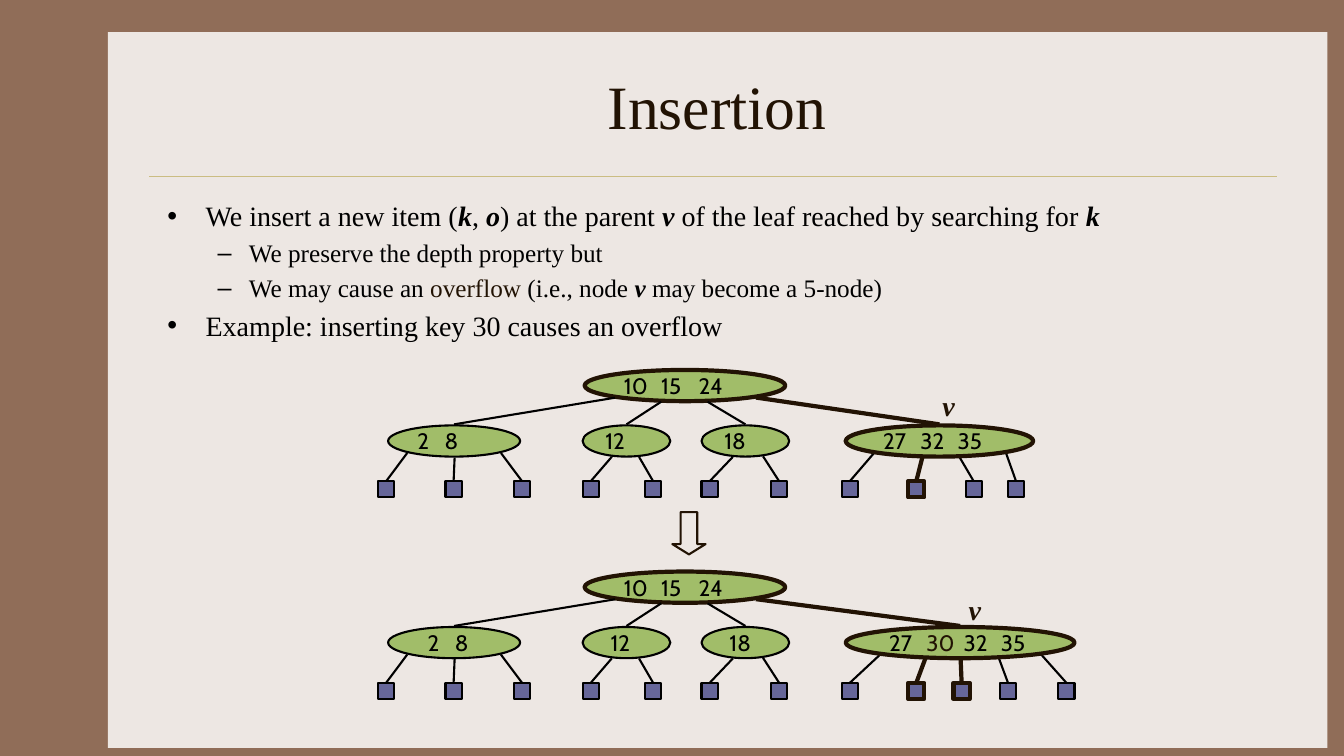
from dataclasses import dataclass
from math import sqrt

from lxml.etree import SubElement
from pptx import Presentation
from pptx.dml.color import RGBColor as RGB
from pptx.enum.shapes import MSO_CONNECTOR as Conn, MSO_SHAPE as Shape
from pptx.enum.text import MSO_ANCHOR as Anchor, MSO_AUTO_SIZE as Auto, PP_ALIGN as Align
from pptx.oxml.ns import qn
from pptx.util import Inches, Pt


@dataclass(frozen=True)
class Theme:
    frame: str = "906D58"
    panel: str = "EDE7E3"
    rule: str = "CBBD83"
    accent: str = "221304"
    ink: str = "000000"
    node: str = "A1BD69"
    leaf: str = "666699"
    serif: str = "Times New Roman"
    sans: str = "Cabin"
    title: int = 44
    body: tuple = (20, 18)
    key: int = 16
    label: int = 20
    thin: float = 1.5
    thick: float = 3


@dataclass(frozen=True)
class Leaf:
    left: float
    joint: float  # column where its edge meets the parent
    marked: bool = False


@dataclass(frozen=True)
class Node:
    left: float
    width: float
    keys: tuple
    root_joint: float = 0
    leaves: tuple = ()
    marked: bool = False
    new_key: str = ""
    pad: float = 0

    @property
    def centre(self) -> float:
        return self.left + self.width / 2

    def bottom_at(self, x: float) -> float:
        """Rows from the top of the ellipse down to its lower edge at column x."""
        share = (x - self.centre) / (self.width / 2)
        return NODE_H / 2 * (1 + sqrt(1 - share ** 2)) + 0.1


T = Theme()

# Grid of 133.3 columns by 75 rows, each a tenth of an inch
NODE_H, LEAF_SIZE = 3.1, 1.6
CHILD_ROW, LEAF_ROW = 5.5, 11.05


def cells(n: float) -> int:
    return Inches(n / 10)


def box(x: float, y: float, w: float, h: float) -> tuple:
    return tuple(map(cells, (x, y, w, h)))


def set_font(font, color: str, **values) -> None:
    for name, value in values.items():
        setattr(font, name, value)
    font.color.rgb = RGB.from_string(color)


def shape(s, kind, area: tuple, fill: str = "", line: str = "", width: float = T.thin):
    sp = s.shapes.add_shape(kind, *box(*area))
    sp.shadow.inherit = False
    if fill:
        sp.fill.solid()
        sp.fill.fore_color.rgb = RGB.from_string(fill)
    else:
        sp.fill.background()
    if line:
        sp.line.color.rgb = RGB.from_string(line)
        sp.line.width = Pt(width)
    else:
        sp.line.fill.background()
    return sp


def line(s, start: tuple, end: tuple, color: str, width: float):
    cx = s.shapes.add_connector(Conn.STRAIGHT, *map(cells, start + end))
    cx.line.color.rgb = RGB.from_string(color)
    cx.line.width = Pt(width)
    SubElement(cx._element.spPr, qn("a:effectLst"))
    return cx


def stroke(marked: bool) -> tuple:
    return (T.accent, T.thick) if marked else (T.ink, T.thin)


def draw_node(s, node: Node, top: float) -> None:
    # Leaves and the edges that reach them
    leaf_top = top - CHILD_ROW + LEAF_ROW
    for leaf in node.leaves:
        shape(s, Shape.RECTANGLE, (leaf.left, leaf_top, LEAF_SIZE, LEAF_SIZE),
              T.leaf, *stroke(leaf.marked))
        line(s, (leaf.left + LEAF_SIZE / 2, leaf_top),
             (leaf.joint, top + node.bottom_at(leaf.joint)), *stroke(leaf.marked))
    # Ellipse with its keys on tab stops
    sp = shape(s, Shape.OVAL, (node.left, top, node.width, NODE_H), T.node, *stroke(node.marked))
    tf = sp.text_frame
    for name, value in dict(word_wrap=True, vertical_anchor=Anchor.MIDDLE, margin_top=0,
                            margin_bottom=0, margin_right=0,
                            margin_left=cells(1 + node.pad)).items():
        setattr(tf, name, value)
    p = tf.paragraphs[0]
    p.alignment = Align.LEFT
    tabs = SubElement(p._p.get_or_add_pPr(), qn("a:tabLst"))
    stop = 0.0
    for i, key in enumerate(node.keys):
        r = p.add_run()
        r.text = f"\t{key}" if i else key
        set_font(r.font, T.accent if key == node.new_key else T.ink,
                 name=T.sans, size=Pt(T.key))
        stop += 1.7 + len(key)
        if i < len(node.keys) - 1:
            SubElement(tabs, qn("a:tab"), pos=str(cells(stop)), algn="l")


def draw_tree(s, top: float, children: tuple, label: tuple) -> None:
    root = Node(58, 19.9, ("10", "15", "24"), marked=True)
    draw_node(s, root, top)
    for child in children:
        line(s, (child.root_joint, top + root.bottom_at(child.root_joint)),
             (child.centre, top + CHILD_ROW - 0.1), *stroke(child.marked))
        draw_node(s, child, top + CHILD_ROW)
    tb = s.shapes.add_textbox(*box(*label, 3.2, 4.3))
    tb.text_frame.word_wrap = False
    r = tb.text_frame.paragraphs[0].add_run()
    r.text = "v"
    set_font(r.font, T.accent, name=T.serif, size=Pt(T.label), bold=True, italic=True)


def plain_children(pad: float) -> tuple:
    return (
        Node(38.5, 13.1, ("2", "8"), 61, pad=2 * pad,
             leaves=(Leaf(37.5, 40.4), Leaf(44.2, 45.1), Leaf(51, 49.7))),
        Node(57.8, 8.7, ("12",), 65.6, pad=pad, leaves=(Leaf(57.8, 60.7), Leaf(64, 63.4))),
        Node(69.6, 8.7, ("18",), 70.2, pad=pad, leaves=(Leaf(69.6, 72.7), Leaf(76.5, 75.7))),
    )


BEFORE = Node(83.9, 18.6, ("27", "32", "35"), 75, marked=True, leaves=(
    Leaf(83.5, 86.7), Leaf(90.1, 91.5, True), Leaf(95.8, 95.2), Leaf(100, 99.8)))
AFTER = Node(83.9, 22.7, ("27", "30", "32", "35"), 75, marked=True, new_key="30", leaves=(
    Leaf(83.5, 87.3), Leaf(90.1, 91.8, True), Leaf(94.6, 95.3, True),
    Leaf(99.2, 99.1), Leaf(105, 103.3)))

# Each item is a level and its runs; "*" marks a variable, "!" an accent
BULLETS = (
    (0, (("We insert a new item (", ""), ("k", "*"), (", ", ""), ("o", "*"),
         (") at the parent ", ""), ("v", "*"),
         (" of the leaf reached by searching for ", ""), ("k", "*"))),
    (1, (("We preserve the depth property but", ""),)),
    (1, (("We may cause an ", ""), ("overflow", "!"), (" (i.e., node ", ""), ("v", "*"),
         (" may become a 5-node)", ""))),
    (0, (("Example: inserting key 30 causes an overflow", ""),)),
)
INDENTS = ((3.8, -3.8), (8.1, -3.1))


def fill_body(tf) -> None:
    tf.auto_size = Auto.NONE
    for i, (level, runs) in enumerate(BULLETS):
        p = tf.add_paragraph() if i else tf.paragraphs[0]
        size = T.body[level]
        p.level = level
        for name, value in zip(("marL", "indent"), INDENTS[level]):
            p._p.get_or_add_pPr().set(name, str(cells(value)))
        p.space_before = Pt(size * 0.2 if i else 0)
        set_font(p.font, T.ink, name=T.serif, size=Pt(size))
        for text, mark in runs:
            r = p.add_run()
            r.text = text
            set_font(r.font, T.accent if mark == "!" else T.ink, name=T.serif,
                     size=Pt(size), bold=mark == "*", italic=mark == "*")


def main() -> None:
    prs = Presentation()
    prs.slide_width, prs.slide_height = cells(133.33), cells(75)
    s = prs.slides.add_slide(prs.slide_layouts[1])

    # Frame, panel and rule, behind the text
    s.background.fill.solid()
    s.background.fill.fore_color.rgb = RGB.from_string(T.frame)
    panel = shape(s, Shape.RECTANGLE, (10.7, 3.2, 121, 71), T.panel)
    rule = line(s, (14.8, 17.5), (126.7, 17.5), T.rule, 0.25)
    for i, sp in enumerate((panel, rule)):
        s.shapes._spTree.insert(2 + i, sp._element)

    # Title and bullets
    title, body = s.placeholders
    for ph, area in ((title, (15.6, 4.2, 111.1, 12.5)), (body, (15.6, 19.2, 111.1, 45))):
        ph.left, ph.top, ph.width, ph.height = box(*area)
    title.text_frame.text = "Insertion"
    title.text_frame.vertical_anchor = Anchor.MIDDLE
    p = title.text_frame.paragraphs[0]
    p.alignment = Align.CENTER
    set_font(p.runs[0].font, T.accent, name=T.serif, size=Pt(T.title))
    fill_body(body.text_frame)

    # Trees before and after the insertion
    draw_tree(s, 36.7, (*plain_children(0), BEFORE), (92.5, 38.1))
    arrow = shape(s, Shape.DOWN_ARROW, (66.7, 50.8, 3.3, 4.2), line=T.accent)
    arrow.adjustments[1] = 0.31
    draw_tree(s, 56.7, (*plain_children(0.5), AFTER), (95.1, 58.3))

    prs.save("out.pptx")


if __name__ == "__main__":
    main()
